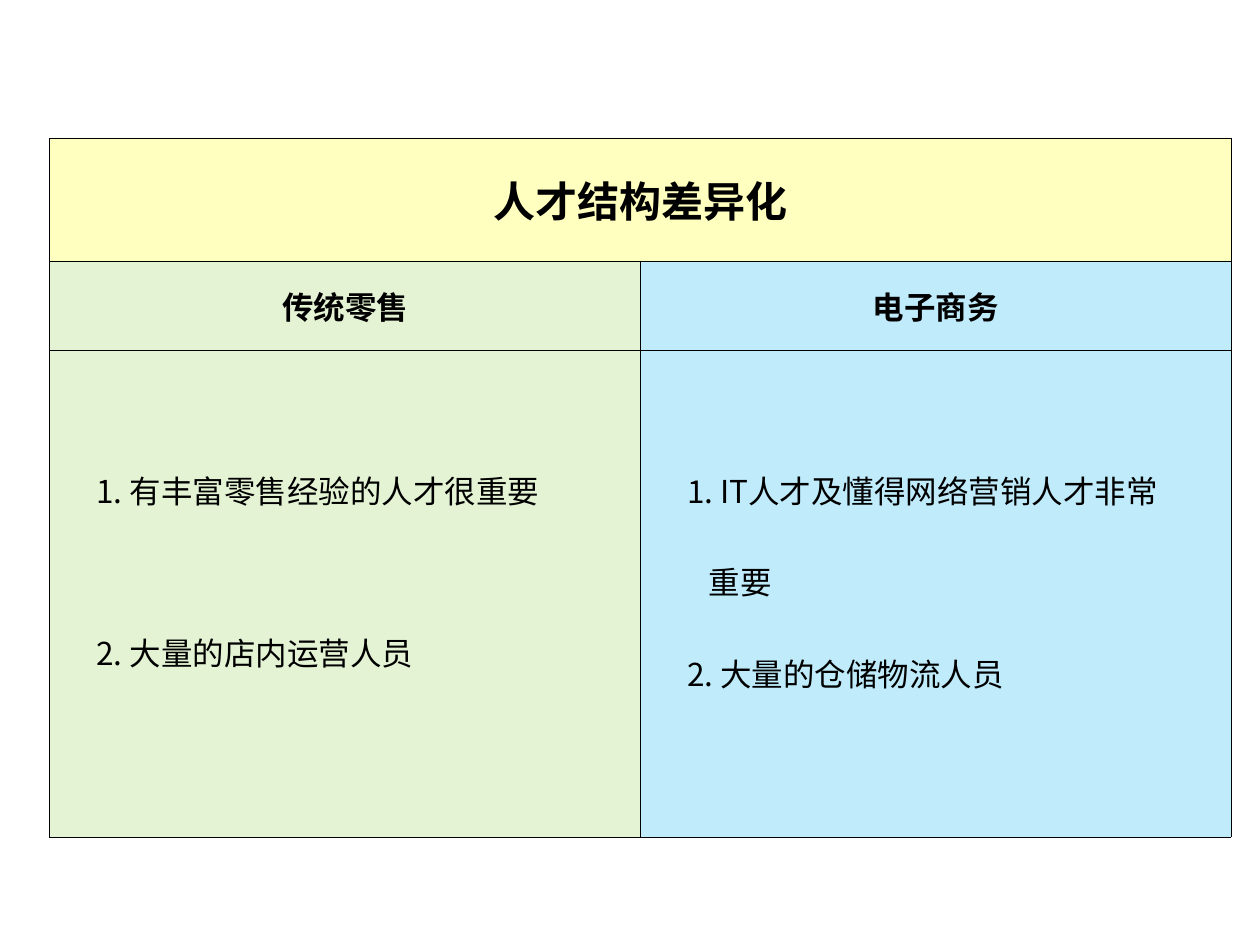
"""Build a slide comparing talent structures in retail and e-commerce."""
from lxml import etree
from pptx import Presentation
from pptx import util as u
from pptx.dml.color import RGBColor
from pptx.enum import text
from pptx.oxml import ns

BLACK = RGBColor(0x00, 0x00, 0x00)
YELLOW = RGBColor(0xFF, 0xFF, 0x00)
GREEN = RGBColor(0x92, 0xD0, 0x50)
BLUE = RGBColor(0x00, 0xB0, 0xF0)
FONT = "Noto Sans CJK SC"

TITLE = "人才结构差异化"
COLUMNS = [
    ("传统零售", GREEN, [
        ("1. 有丰富零售经验的人才很重要", {}),
        ("2. 大量的店内运营人员", {"before": 40.5}),
    ]),
    ("电子商务", BLUE, [
        ("1. IT人才及懂得网络营销人才非常", {}),
        ("重要", {"left": 1.35}),
        ("2. 大量的仓储物流人员", {}),
    ]),
]


def write(paragraph, words, size=18, bold=False, align=None, left=0, before=0, spacing=None):
    """Put formatted words into a paragraph."""
    run = paragraph.add_run()
    run.text = words
    run.font.name = FONT
    run.font.size = u.Pt(size)
    run.font.bold = bold
    run.font.color.rgb = BLACK
    east_asian = etree.SubElement(run.font._element, ns.qn("a:ea"))
    east_asian.set("typeface", FONT)
    paragraph.alignment = align
    paragraph.line_spacing = spacing
    if before:
        paragraph.space_before = u.Pt(before)
    if left:
        paragraph._p.get_or_add_pPr().set("marL", str(u.Cm(left)))


class SlideBuilder:
    """Hold the table style and the current slide."""

    opacity = 25
    border = 0.23
    side_margin = 0.03
    end_margin = 0.13
    body_margin = 1.45
    body_indent = 0.91

    def __init__(self, deck):
        self.slide = deck.slides.add_slide(deck.slide_layouts[6])

    def table(self, left, top, widths, heights):
        """Add a table with the given column widths and row heights."""
        frame = self.slide.shapes.add_table(
            len(heights), len(widths), u.Cm(left), u.Cm(top),
            u.Cm(sum(widths)), u.Cm(sum(heights)))
        grid = frame.table
        for column, width in zip(grid.columns, widths):
            column.width = u.Cm(width)
        for row, height in zip(grid.rows, heights):
            row.height = u.Cm(height)
        return grid

    def outline(self, cell):
        """Draw thin black borders on a cell."""
        properties = cell._tc.get_or_add_tcPr()
        for position, side in enumerate(("lnL", "lnR", "lnT", "lnB")):
            line = etree.Element(ns.qn(f"a:{side}"), w=str(u.Pt(self.border)))
            fill = etree.SubElement(line, ns.qn("a:solidFill"))
            etree.SubElement(fill, ns.qn("a:srgbClr"), val=str(BLACK))
            properties.insert(position, line)

    def paint(self, cell, color):
        """Give a cell its translucent fill, margins and borders."""
        cell.fill.solid()
        cell.fill.fore_color.rgb = color
        tint = cell._tc.tcPr.find(".//" + ns.qn("a:srgbClr"))
        etree.SubElement(tint, ns.qn("a:alpha"), val=str(self.opacity * 1000))
        cell.margin_left = cell.margin_right = u.Cm(self.side_margin)
        cell.margin_top = cell.margin_bottom = u.Cm(self.end_margin)
        self.outline(cell)

    def heading(self, cell, words, color, size=18):
        """Fill a cell with a bold centred heading."""
        self.paint(cell, color)
        cell.vertical_anchor = text.MSO_ANCHOR.MIDDLE
        write(cell.text_frame.paragraphs[0], words, size=size, bold=True,
              align=text.PP_ALIGN.CENTER)

    def points(self, cell, lines, color):
        """Fill a cell with widely spaced numbered points."""
        self.paint(cell, color)
        cell.vertical_anchor = text.MSO_ANCHOR.TOP
        cell.margin_top = u.Cm(self.body_margin)
        body = cell.text_frame
        for index, (words, extra) in enumerate(lines):
            paragraph = body.add_paragraph() if index else body.paragraphs[0]
            write(paragraph, words, **{"left": self.body_indent, "spacing": 2.0, **extra})


def main():
    """Build and save the deck."""
    deck = Presentation()
    deck.slide_width, deck.slide_height = u.Cm(25.4), u.Cm(19.05)
    builder = SlideBuilder(deck)
    comparison = builder.table(1, 2.78, [11.91, 11.91], [2.48, 1.79, 9.82])
    title = comparison.cell(0, 0)
    title.merge(comparison.cell(0, 1))
    builder.heading(title, TITLE, YELLOW, size=24)
    builder.outline(comparison.cell(0, 1))
    for index, (name, color, lines) in enumerate(COLUMNS):
        builder.heading(comparison.cell(1, index), name, color)
        builder.points(comparison.cell(2, index), lines, color)
    deck.save("out.pptx")


if __name__ == "__main__":
    main()
